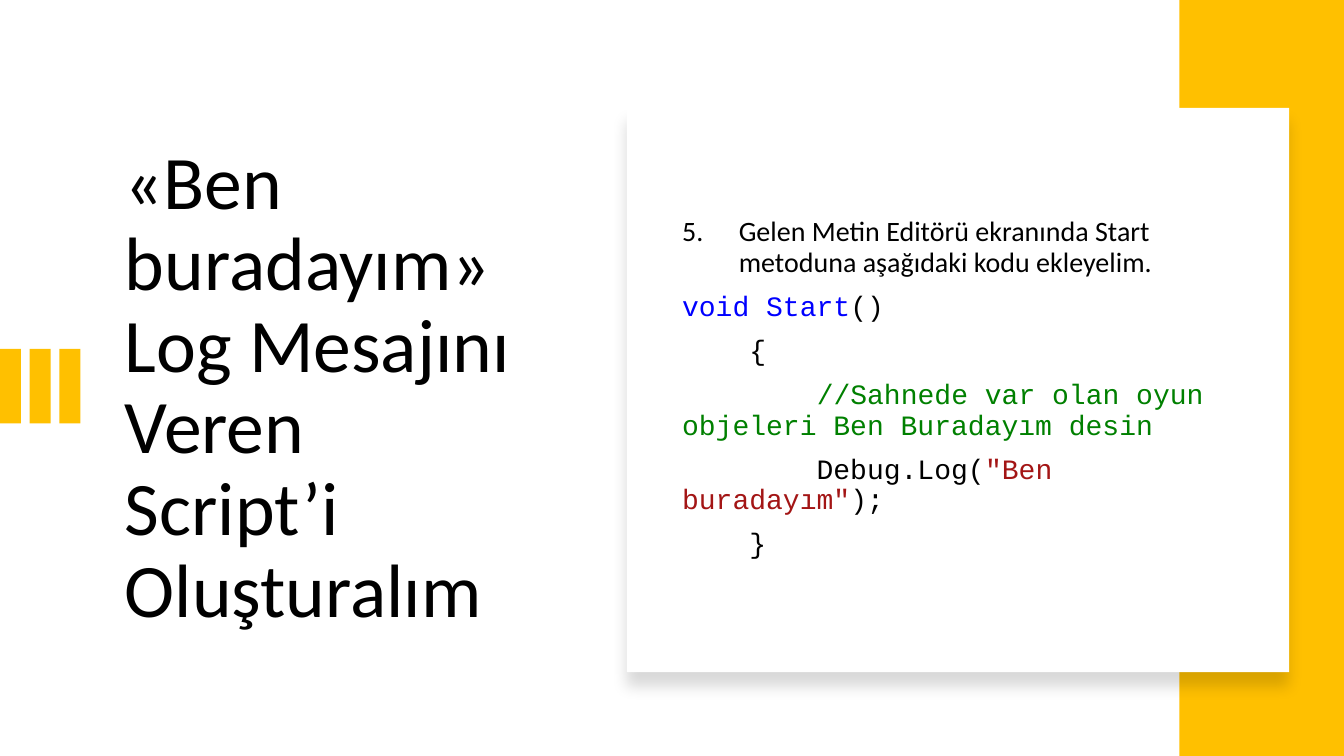
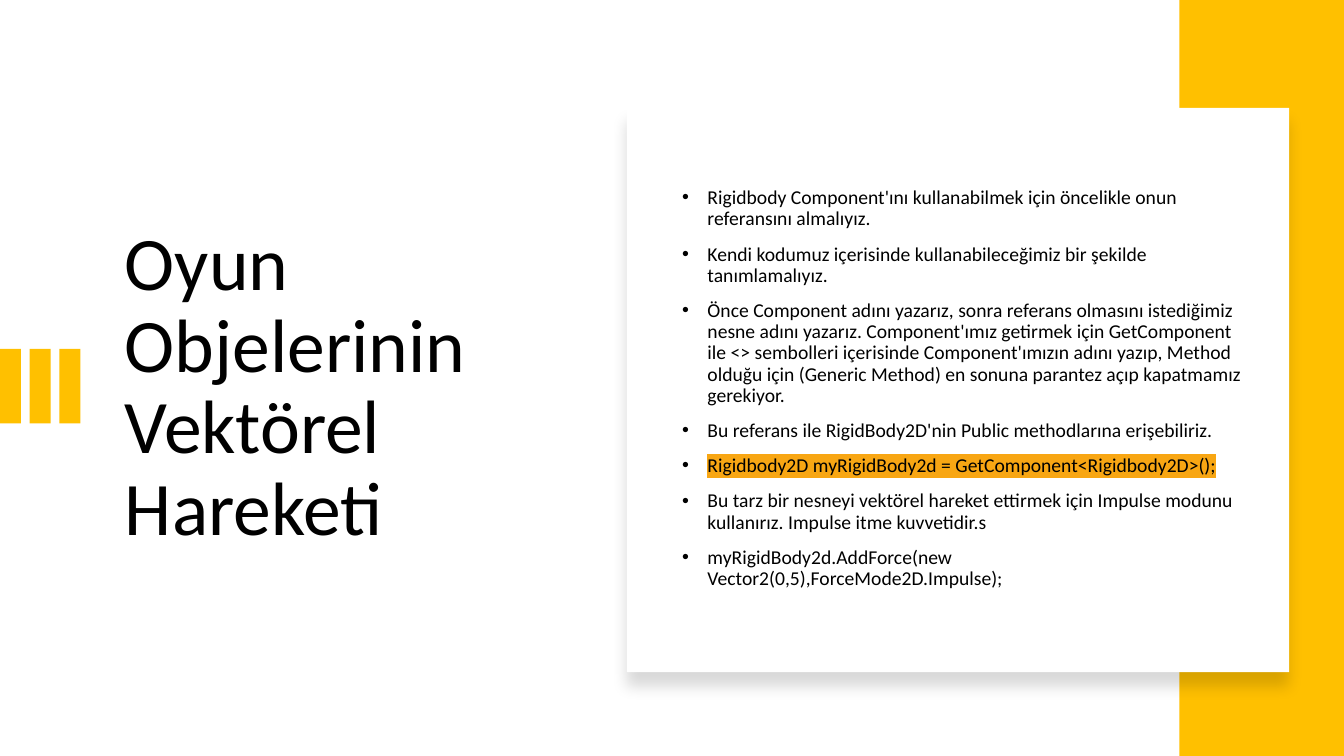
from dataclasses import dataclass
from typing import Optional

from lxml import etree
from pptx import Presentation
from pptx import util as u
from pptx.dml.color import RGBColor
from pptx.enum import shapes, text
from pptx.oxml import ns

WIDTH, HEIGHT = 33.87, 19.05
TEXT_TOP, TEXT_HEIGHT = 3.71, 12.17
BLACK, WHITE, AMBER = "000000", "FFFFFF", "FFC000"
KEYWORD, COMMENT, STRING = "0000FF", "008000", "A31515"
MARKER = "F8A613"
SANS, MONO = "Calibri", "Courier New"


@dataclass(frozen=True)
class Run:
    text: str
    color: str = BLACK
    font: str = SANS
    highlight: Optional[str] = None


@dataclass(frozen=True)
class Line:
    runs: tuple[Run, ...]
    number: Optional[int] = None
    bullet: bool = False


@dataclass(frozen=True)
class Page:
    title: str
    size: int
    lines: tuple[Line, ...]


def code(*parts: tuple[str, str]) -> Line:
    return Line(tuple(Run(words, color, MONO) for words, color in parts))


def point(words: str, highlight: Optional[str] = None) -> Line:
    return Line((Run(words, highlight=highlight),), bullet=True)


PAGES = (
    Page("«Ben buradayım» Log Mesajını Veren Script’i Oluşturalım", 20, (
        Line((Run("Gelen Metin Editörü ekranında Start metoduna aşağıdaki kodu ekleyelim."),), number=5),
        code(("void Start", KEYWORD), ("()", BLACK)),
        code(("    {", BLACK)),
        code(("        ", BLACK), ("//Sahnede var olan oyun objeleri Ben Buradayım desin", COMMENT)),
        code(("        Debug.Log(", BLACK), ('"Ben buradayım"', STRING), (");", BLACK)),
        code(("    }", BLACK)),
    )),
    Page("Oyun Objelerinin Vektörel Hareketi", 14, (
        point("Rigidbody Component'ını kullanabilmek için öncelikle onun referansını almalıyız."),
        point("Kendi kodumuz içerisinde kullanabileceğimiz bir şekilde tanımlamalıyız."),
        point("Önce Component adını yazarız, sonra referans olmasını istediğimiz nesne adını yazarız. "
              "Component'ımız getirmek için GetComponent ile <> sembolleri içerisinde Component'ımızın "
              "adını yazıp, Method olduğu için (Generic Method) en sonuna parantez açıp kapatmamız gerekiyor."),
        point("Bu referans ile RigidBody2D'nin Public methodlarına erişebiliriz."),
        point("Rigidbody2D myRigidBody2d = GetComponent<Rigidbody2D>();", MARKER),
        point("Bu tarz bir nesneyi vektörel hareket ettirmek için Impulse modunu kullanırız. "
              "Impulse itme kuvvetidir.s"),
        point("myRigidBody2d.AddForce(new Vector2(0,5),ForceMode2D.Impulse);"),
    )),
)


def rgb(color: str) -> RGBColor:
    return RGBColor.from_string(color)


def child(parent, tag: str, **attributes):
    return etree.SubElement(parent, ns.qn(tag), {name: str(value) for name, value in attributes.items()})


def add_box(container, left: float, top: float, width: float, height: float, color: str):
    shape = container.add_shape(shapes.MSO_SHAPE.RECTANGLE, u.Cm(left), u.Cm(top), u.Cm(width), u.Cm(height))
    shape.shadow.inherit = False
    shape.fill.solid()
    shape.fill.fore_color.rgb = rgb(color)
    shape.line.fill.background()
    return shape


def add_soft_shadow(shape) -> None:
    effects = shape._element.spPr.find(ns.qn("a:effectLst"))
    shadow = child(effects, "a:outerShdw", blurRad=u.Pt(11), dist=u.Pt(10), dir=90 * 60000,
                   algn="t", rotWithShape=0)
    child(child(shadow, "a:srgbClr", val=BLACK), "a:alpha", val=15000)


def add_background(slide) -> None:
    bars = slide.shapes.add_group_shape()
    for index in range(3):
        add_box(bars.shapes, index * 0.75, 8.79, 0.53, 1.88, AMBER)
    add_box(slide.shapes, 29.72, 0, WIDTH - 29.72, HEIGHT, AMBER)
    add_soft_shadow(add_box(slide.shapes, 15.8, 2.72, 16.69, 14.22, WHITE))


def set_list_mark(paragraph, line: Line) -> None:
    properties = paragraph._p.get_or_add_pPr()
    if line.number is not None:
        indent = u.Cm(1.43)
        child(properties, "a:buFont", typeface="+mj-lt")
        child(properties, "a:buAutoNum", type="arabicPeriod", startAt=line.number)
    elif line.bullet:
        indent = u.Cm(0.64)
        child(properties, "a:buFont", typeface="Arial")
        child(properties, "a:buChar", char="•")
    else:
        return
    properties.set("marL", str(indent))
    properties.set("indent", str(-indent))


def add_run(paragraph, content: Run, size: int) -> None:
    run = paragraph.add_run()
    run.text = content.text
    run.font.size = u.Pt(size)
    run.font.name = content.font
    run.font.color.rgb = rgb(content.color)
    if content.highlight:
        properties = run._r.get_or_add_rPr()
        highlight = child(properties, "a:highlight")
        child(highlight, "a:srgbClr", val=content.highlight)
        properties.find(ns.qn("a:latin")).addprevious(highlight)


def add_text(slide, left: float, width: float, lines: tuple[Line, ...], size: int) -> None:
    box = slide.shapes.add_textbox(u.Cm(left), u.Cm(TEXT_TOP), u.Cm(width), u.Cm(TEXT_HEIGHT))
    frame = box.text_frame
    frame.word_wrap = True
    frame.vertical_anchor = text.MSO_ANCHOR.MIDDLE
    for index, line in enumerate(lines):
        paragraph = frame.add_paragraph() if index else frame.paragraphs[0]
        set_list_mark(paragraph, line)
        paragraph.line_spacing = 0.9
        if index:
            paragraph.space_before = u.Pt(10)
        for content in line.runs:
            add_run(paragraph, content, size)


def main() -> None:
    presentation = Presentation()
    presentation.slide_width, presentation.slide_height = u.Cm(WIDTH), u.Cm(HEIGHT)
    blank = presentation.slide_layouts[6]
    for page in PAGES:
        slide = presentation.slides.add_slide(blank)
        add_background(slide)
        add_text(slide, 2.9, 10.82, (Line((Run(page.title),)),), 54)
        add_text(slide, 16.94, 14.6, page.lines, page.size)
    presentation.save("out.pptx")


if __name__ == "__main__":
    main()
